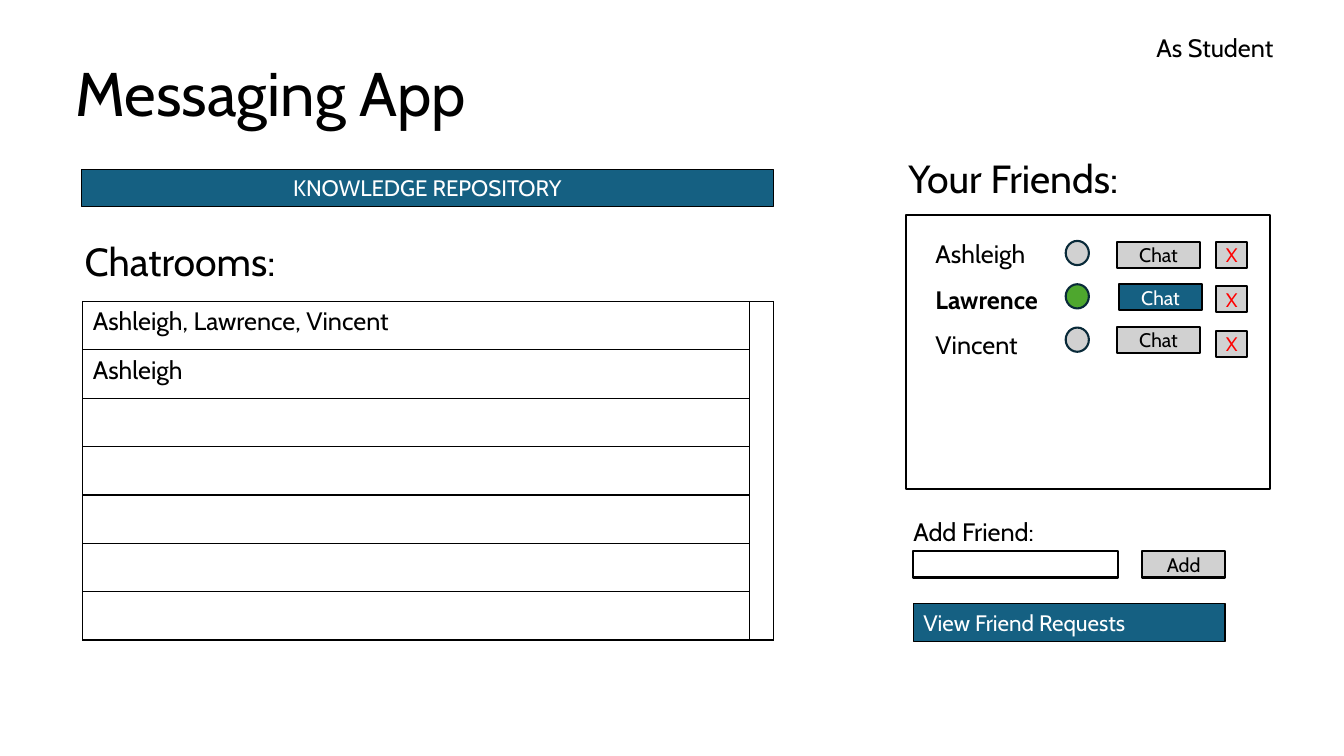
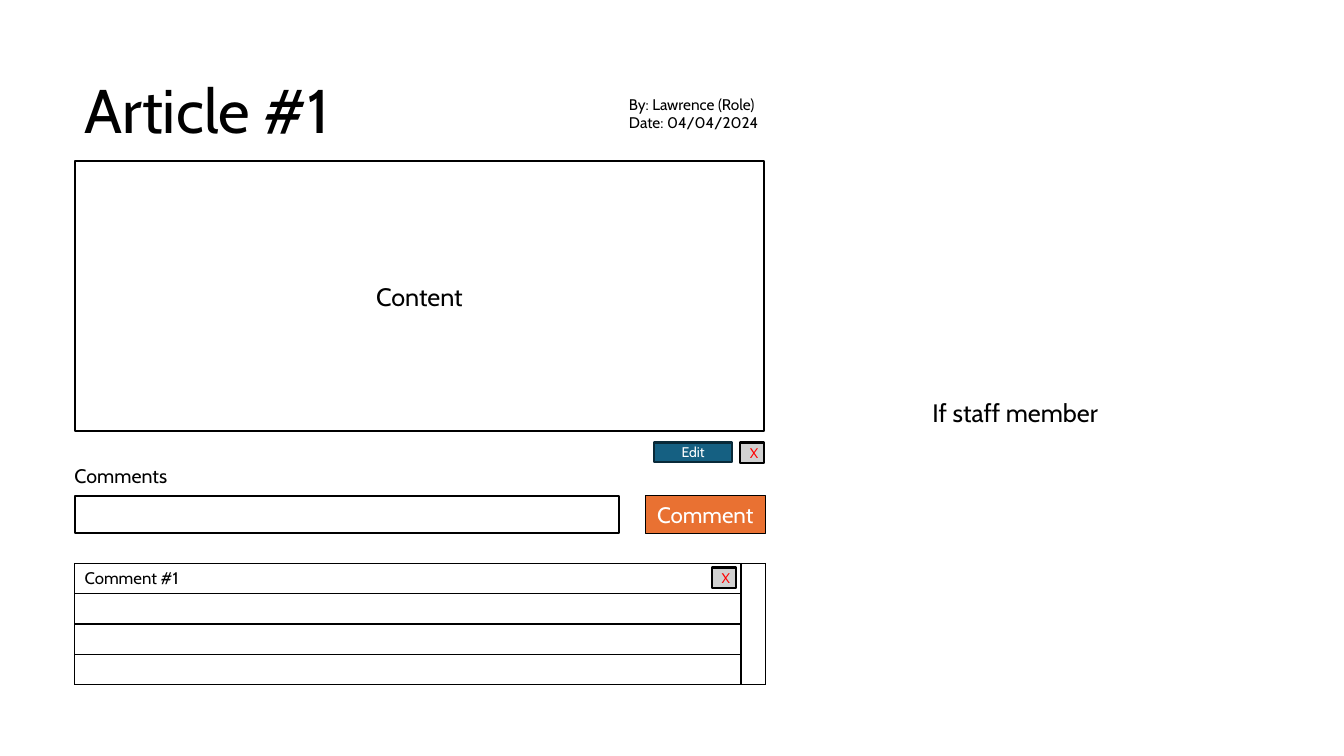
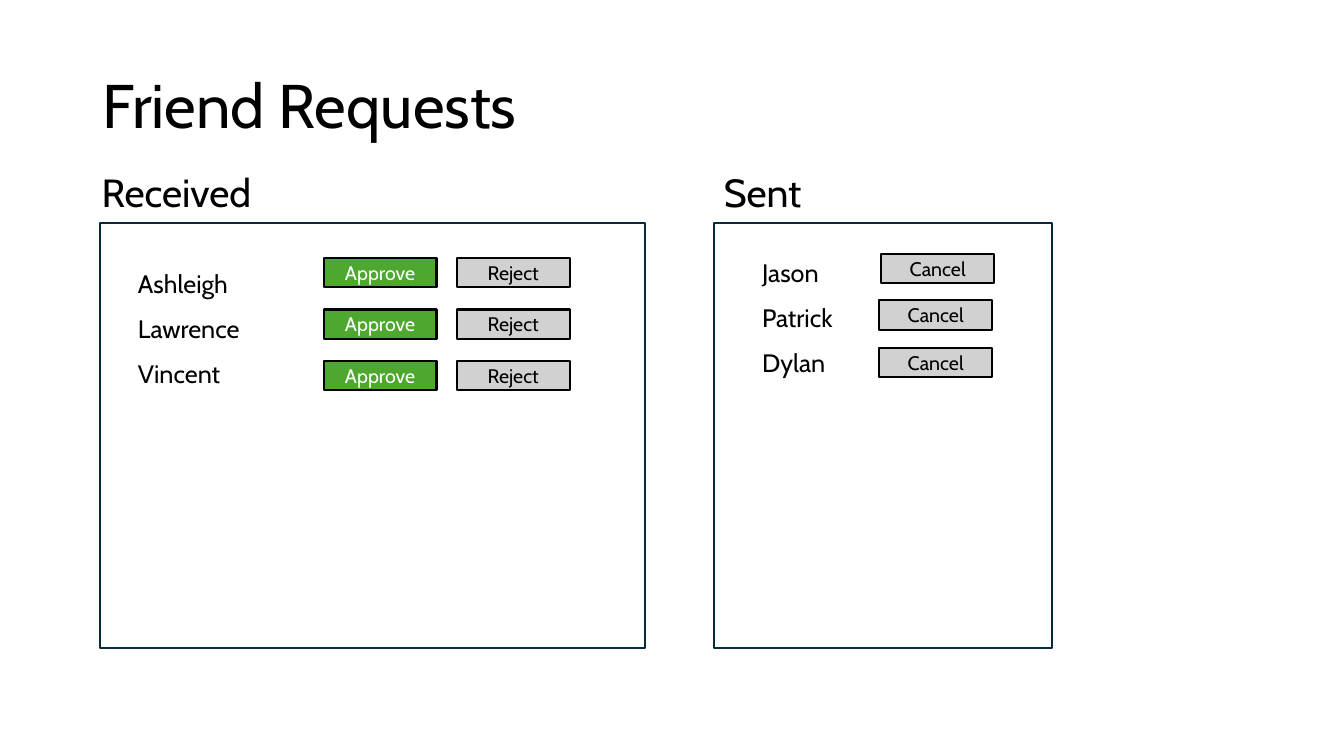
from lxml.etree import SubElement
from pptx import Presentation
from pptx.dml.color import RGBColor
from pptx.enum.shapes import MSO_SHAPE as Form
from pptx.enum.text import MSO_ANCHOR as Anchor, PP_ALIGN as Align
from pptx.oxml.ns import qn
from pptx.util import Inches, Pt

FONT = "Cabin"
COLORS = {
    "black": "000000",
    "white": "FFFFFF",
    "gray": "D1D1D1",
    "blue": "156082",
    "navy": "092A39",
    "green": "4EA72E",
    "orange": "E97132",
    "red": "FF0000",
}


def steps(top, pitch, count=3):
    return [round(top + pitch * i, 2) for i in range(count)]


class Deck:
    def __init__(self):
        self.prs = Presentation()
        self.prs.slide_width = Inches(13.33)
        self.prs.slide_height = Inches(7.5)
        self.slide = None

    def page(self, title, left, top):
        self.slide = self.prs.slides.add_slide(self.prs.slide_layouts[6])
        self.text(title, left, top, 11.5, 1.45, 44, space=0.9,
                  anchor=Anchor.MIDDLE)

    def style(self, par, size, color="black", bold=None):
        par.font.name = FONT
        par.font.size = Pt(size)
        par.font.bold = bold
        par.font.color.rgb = RGBColor.from_string(COLORS[color])

    def text(self, words, left, top, width, height, size=18, space=None,
             anchor=Anchor.TOP, wrap=True, bold=None):
        """Add a text box with one paragraph a line; bold names a line."""
        box = self.slide.shapes.add_textbox(
            Inches(left), Inches(top), Inches(width), Inches(height))
        frame = box.text_frame
        frame.word_wrap = wrap
        frame.vertical_anchor = anchor
        frame.text = words
        for par in frame.paragraphs:
            self.style(par, size, bold=par.text == bold)
            par.line_spacing = space
        return box

    def head(self, words, left, top, height=1.62):
        box = self.text(words, left, top, 2.78, height, 28, space=0.9)
        box.text_frame.paragraphs[0].space_before = Pt(10)

    def names(self, words, left, top, bold=None):
        self.text("\n".join(words), left, top, 2.03, 1.87, space=1.5,
                  bold=bold)

    def box(self, left, top, width, height, words="", fill=None, ink="black",
            size=14, line="black", weight=1.5, form=Form.RECTANGLE,
            align=Align.CENTER):
        shape = self.slide.shapes.add_shape(
            form, Inches(left), Inches(top), Inches(width), Inches(height))
        shape.shadow.inherit = False
        if fill:
            shape.fill.solid()
            shape.fill.fore_color.rgb = RGBColor.from_string(COLORS[fill])
        else:
            shape.fill.background()
        shape.line.color.rgb = RGBColor.from_string(COLORS[line])
        shape.line.width = Pt(weight)
        if words:
            frame = shape.text_frame
            frame.word_wrap = True
            frame.vertical_anchor = Anchor.MIDDLE
            frame.text = words
            par = frame.paragraphs[0]
            par.alignment = align
            self.style(par, size, ink)

    def bar(self, words, left, top, width, fill="blue", align=Align.CENTER):
        self.box(left, top, width, 0.37, words, fill, "white", 16,
                 weight=0.75, align=align)

    def dot(self, left, top, fill):
        self.box(left, top, 0.23, 0.24, fill=fill, line="navy",
                 form=Form.OVAL)

    def cross(self, left, top, width=0.31, height=0.26, size=14):
        self.box(left, top, width, height, "X", "gray", "red", size)

    def edge(self, cell):
        """Draw a thin black border on all four sides of a cell."""
        props = cell._tc.get_or_add_tcPr()
        for i, side in enumerate(("a:lnL", "a:lnR", "a:lnT", "a:lnB")):
            line = props.makeelement(qn(side), {"w": str(Pt(1))})
            props.insert(i, line)
            fill = SubElement(line, qn("a:solidFill"))
            SubElement(fill, qn("a:srgbClr"), val=COLORS["black"])

    def table(self, left, top, rows, pitch, words, size):
        """Add a list with a merged scroll bar column at its right."""
        grid = self.slide.shapes.add_table(
            rows, 2, Inches(left), Inches(top), Inches(6.84),
            Inches(rows * pitch)).table
        grid.first_row = grid.horz_banding = False
        for col, width in zip(grid.columns, (6.61, 0.23)):
            col.width = Inches(width)
        for row in grid.rows:
            row.height = Inches(pitch)
        for i, line in enumerate(words):
            grid.cell(i, 0).text = line
        grid.cell(0, 1).merge(grid.cell(rows - 1, 1))
        for cell in grid.iter_cells():
            self.style(cell.text_frame.paragraphs[0], size)
            cell.fill.background()
            self.edge(cell)


def chats(deck):
    deck.page("Messaging App", 0.65, 0.23)
    deck.text("As Student", 11.37, 0.27, 1.39, 0.4, wrap=False)
    deck.bar("KNOWLEDGE REPOSITORY", 0.81, 1.68, 6.86)
    deck.head("Chatrooms:", 0.74, 2.36, 0.82)
    deck.table(0.82, 2.99, 7, 0.48,
               ["Ashleigh, Lawrence, Vincent", "Ashleigh"], 18)

    deck.head("Your Friends:", 8.91, 1.53)
    deck.box(8.99, 2.13, 3.61, 2.72)
    friends = ["Ashleigh", "Lawrence", "Vincent"]
    active = "Lawrence"
    deck.names(friends, 9.18, 2.17, active)
    tops = zip(friends, steps(2.39, 0.43), steps(2.4, 0.42),
               steps(2.4, 0.44))
    for name, dot, chat, cross in tops:
        live = name == active
        deck.dot(10.57, dot, "green" if live else "gray")
        deck.box(11.1 if live else 11.08, chat, 0.82, 0.26, "Chat",
                 "blue" if live else "gray", "white" if live else "black")
        deck.cross(12.06, cross)

    deck.text("Add Friend:", 8.96, 5.07, 2.13, 0.4)
    deck.box(9.06, 5.47, 2.03, 0.26)
    deck.box(11.33, 5.47, 0.82, 0.26, "Add", "gray")
    deck.bar("View Friend Requests", 9.06, 5.99, 3.09, align=Align.LEFT)


def article(deck):
    deck.page("Article #1", 0.74, 0.4)
    deck.text("By: Lawrence (Role)\nDate: 04/04/2024", 6.14, 0.89, 1.73,
              0.47, 11)
    deck.box(0.74, 1.6, 6.84, 2.68, "Content", size=18)
    deck.box(6.49, 4.39, 0.77, 0.19, "Edit", "blue", "white", 10, "navy")
    deck.text("Comments", 0.64, 4.55, 6.67, 0.34, 14)
    deck.box(0.74, 4.92, 5.4, 0.37)
    deck.bar("Comment", 6.4, 4.92, 1.19, "orange")
    deck.table(0.74, 5.59, 4, 0.3, ["Comment #1"], 12)
    for left, top in ((7.06, 5.63), (7.34, 4.39)):
        deck.cross(left, top, 0.24, 0.2, 10)
    deck.text("If staff member", 9.15, 3.89, 1.86, 0.4, wrap=False)


def requests(deck):
    deck.page("Friend Requests", 0.92, 0.35)
    for words, head, left, width in (("Received", 0.91, 0.99, 5.41),
                                     ("Sent", 7.08, 7.08, 3.35)):
        deck.head(words, head, 1.67)
        deck.box(left, 2.21, width, 4.22, line="navy")
    deck.names(["Ashleigh", "Lawrence", "Vincent"], 1.27, 2.46)
    for top in steps(2.56, 0.51):
        deck.box(3.21, top, 1.12, 0.29, "Approve", "green", "white")
        deck.box(4.53, top, 1.12, 0.29, "Reject", "gray")
    deck.names(["Jason", "Patrick", "Dylan"], 7.46, 2.35)
    for left, top in zip((8.74, 8.72, 8.72), steps(2.52, 0.465)):
        deck.box(left, top, 1.12, 0.29, "Cancel", "gray")


def main():
    deck = Deck()
    for build in (chats, article, requests):
        build(deck)
    deck.prs.save("out.pptx")


if __name__ == "__main__":
    main()
